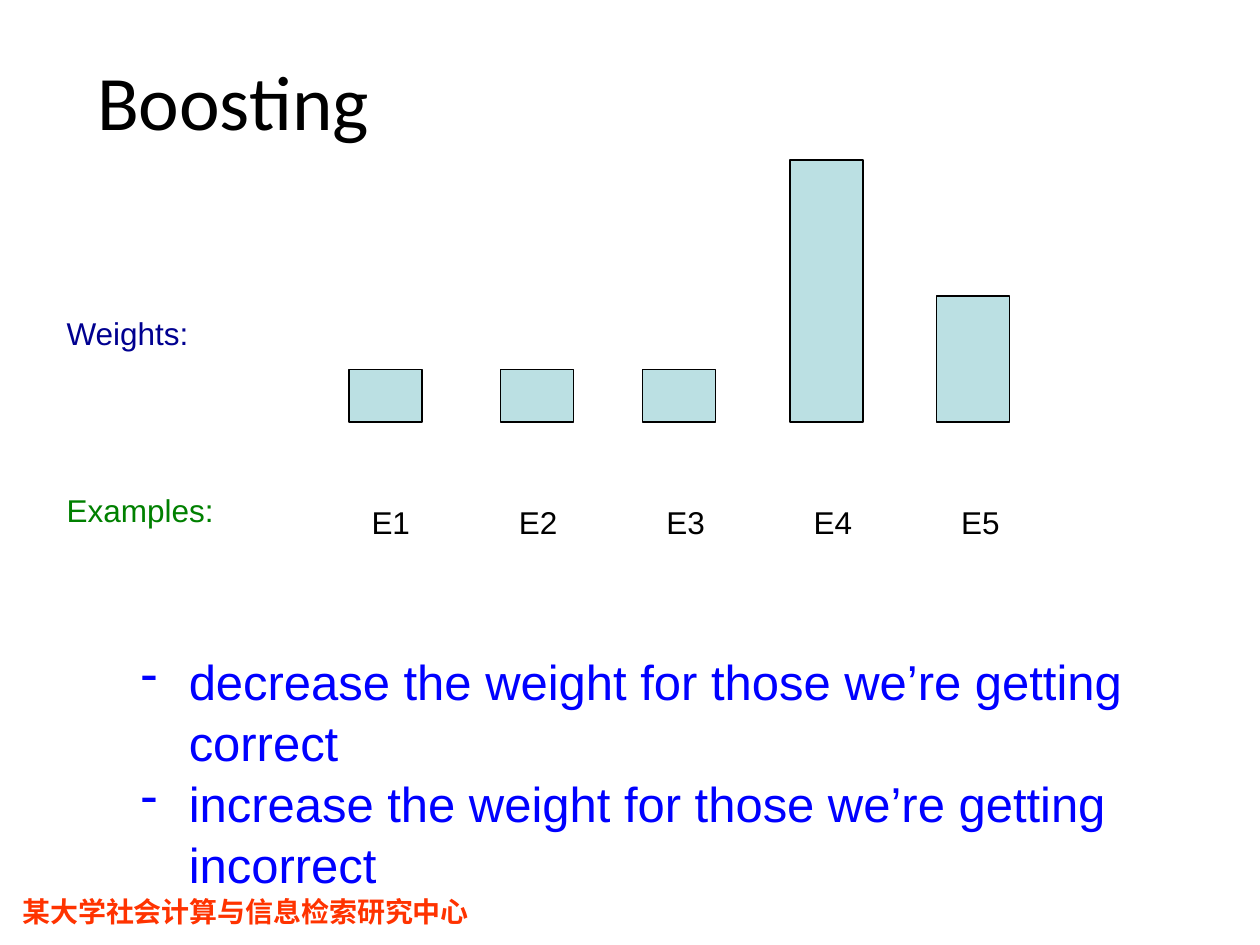
import pptx
import pptx.dml.color
import pptx.enum.shapes
import pptx.enum.text
import pptx.oxml.ns
import lxml.etree
from pptx.util import Inches


def paint(color_format, hex_color):
    color_format.rgb = pptx.dml.color.RGBColor.from_string(hex_color)


def add_label(lines, left, top, width, height, size, hex_color, font="Arial", bold=False):
    label = slide.shapes.add_textbox(Inches(left), Inches(top), Inches(width), Inches(height))
    frame = label.text_frame
    frame.word_wrap = True
    frame.auto_size = pptx.enum.text.MSO_AUTO_SIZE.SHAPE_TO_FIT_TEXT
    frame.text = "\n".join(lines)
    for paragraph in frame.paragraphs:
        for run in paragraph.runs:
            run.font.size = pptx.util.Pt(size)
            run.font.name = font
            run.font.bold = bold
            paint(run.font.color, hex_color)
    return frame


deck = pptx.Presentation()
deck.slide_width = Inches(10)
deck.slide_height = Inches(7.5)
slide = deck.slides.add_slide(deck.slide_layouts[5])

add_label(["某大学社会计算与信息检索研究中心"], 0.08, 7.05, 3.94, 0.37, 16, "FF3300",
          "Times New Roman", True)

title = slide.shapes.title
title.left, title.top = Inches(0.67), Inches(0.25)
title.width, title.height = Inches(8.92), Inches(1.08)
title.text_frame.text = "Boosting"
title.text_frame.vertical_anchor = pptx.enum.text.MSO_ANCHOR.MIDDLE
heading = title.text_frame.paragraphs[0]
heading.alignment = pptx.enum.text.PP_ALIGN.LEFT
heading.runs[0].font.size = pptx.util.Pt(44)
heading.runs[0].font.name = "Calibri"
paint(heading.runs[0].font.color, "000000")

baseline = 3.35
weights = [(2.77, 0.42), (3.97, 0.42), (5.1, 0.42), (6.27, 2.08), (7.43, 1)]
for number, (left, weight) in enumerate(weights):
    bar = slide.shapes.add_shape(
        pptx.enum.shapes.MSO_SHAPE.RECTANGLE,
        Inches(left), Inches(baseline - weight), Inches(0.58), Inches(weight))
    bar.shadow.inherit = False
    bar.fill.solid()
    paint(bar.fill.fore_color, "BBE0E3")
    paint(bar.line.color, "000000")
    bar.line.width = pptx.util.Pt(0.75)
    add_label([f"E{number + 1}"], 2.85 + number * 1.17, 3.94, 1.08, 0.49, 18, "000000")

add_label(["Examples:"], 0.43, 3.85, 2, 0.49, 18, "008000")
add_label(["Weights:"], 0.43, 2.44, 1.92, 0.49, 18, "000090")

rules = add_label(
    ["decrease the weight for those we’re getting correct",
     "increase the weight for those we’re getting incorrect"],
    1.02, 5.1, 9.06, 1.04, 28, "0000FF")
for rule in rules.paragraphs:
    rule.line_spacing = 1.04
    properties = rule._p.get_or_add_pPr()
    properties.set("marL", str(Inches(0.38)))
    properties.set("indent", str(Inches(-0.38)))
    bullet = lxml.etree.SubElement(properties, pptx.oxml.ns.qn("a:buChar"))
    bullet.set("char", "-")

deck.save("out.pptx")
